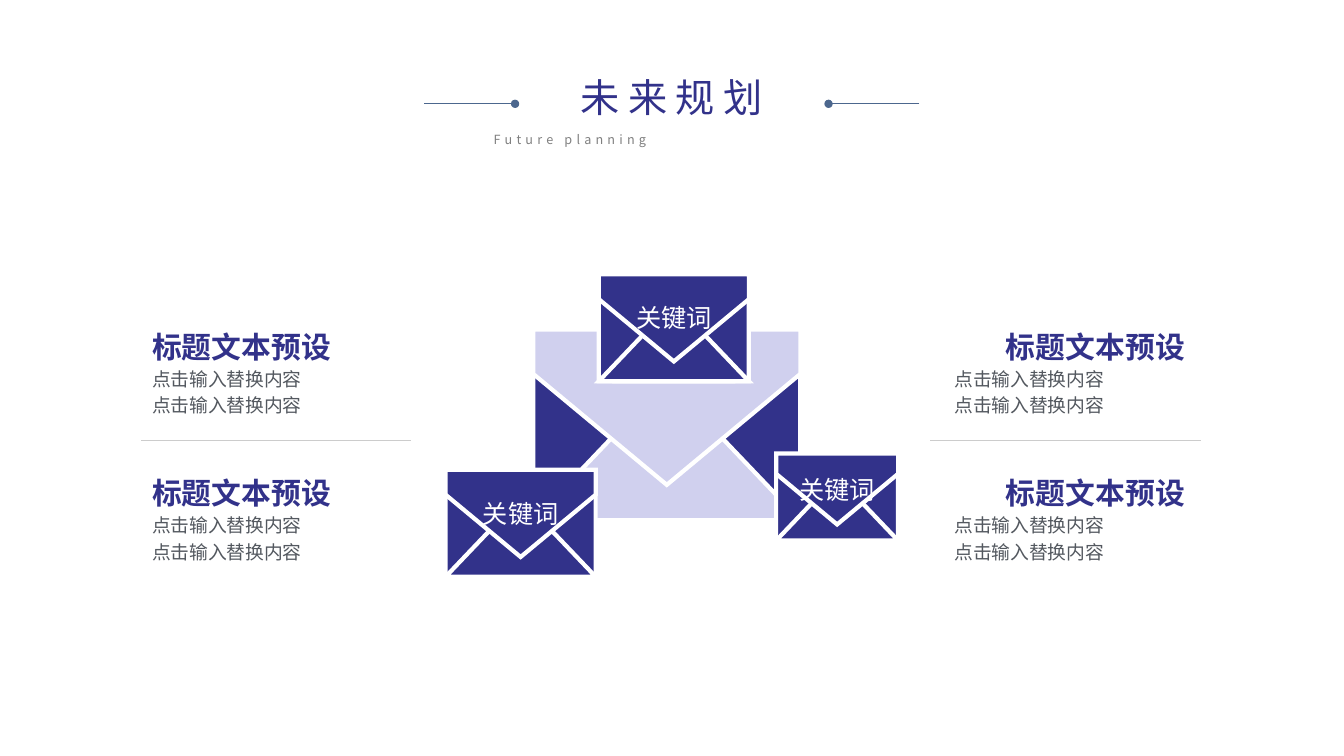
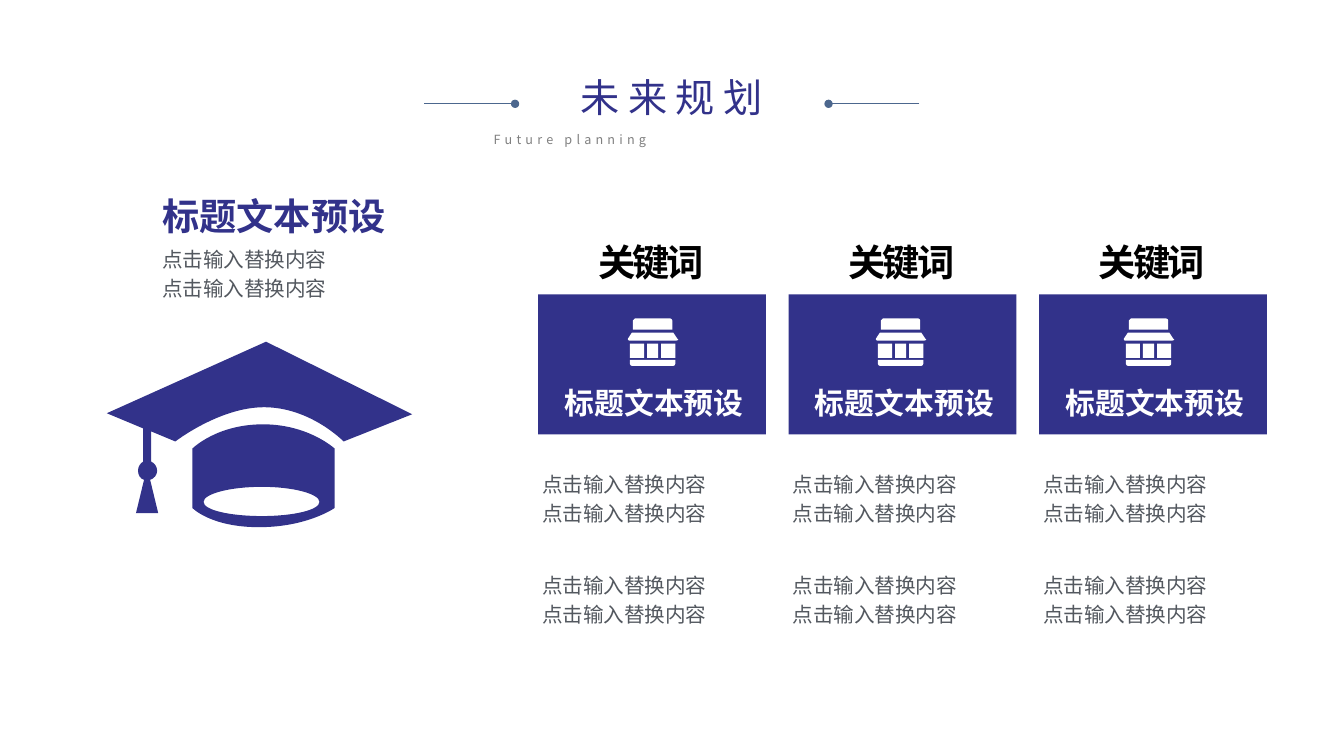
"""Build two planning slides: keyword envelopes and a graduation cap with three cards."""
from lxml import etree
from pptx import Presentation
from pptx.dml.color import RGBColor
from pptx.enum.shapes import MSO_CONNECTOR, MSO_SHAPE
from pptx.enum.text import MSO_ANCHOR, MSO_AUTO_SIZE, PP_ALIGN
from pptx.oxml.ns import qn
from pptx.util import Inches, Pt

LEFT, CENTER, RIGHT, JUSTIFY = PP_ALIGN.LEFT, PP_ALIGN.CENTER, PP_ALIGN.RIGHT, PP_ALIGN.JUSTIFY
TOP, MIDDLE = MSO_ANCHOR.TOP, MSO_ANCHOR.MIDDLE
GROW = MSO_AUTO_SIZE.SHAPE_TO_FIT_TEXT
RECT, TRIANGLE, RIGHT_TRIANGLE = MSO_SHAPE.RECTANGLE, MSO_SHAPE.ISOSCELES_TRIANGLE, MSO_SHAPE.RIGHT_TRIANGLE
STRAIGHT = MSO_CONNECTOR.STRAIGHT

WIDTH, HEIGHT = 40 / 3, 7.5
FONT = "Noto Sans CJK SC"
INDIGO, LILAC, STEEL = "32328A", "D0D0EE", "4C678E"
WHITE, BLACK, BODY_GREY, SUB_GREY, RULE_GREY = "FFFFFF", "000000", "53585F", "808080", "CCCCCC"
DEFAULT_INSETS, NO_INSETS, WIDE_INSETS = (0.1, 0.05), (0, 0), (0.13, 0.07)

HEADING, SUBHEADING = "未来规划", "Future planning"
TOPIC, KEYWORD = "标题文本预设", "关键词"
DETAILS = ["点击输入替换内容", "点击输入替换内容"]

ENVELOPES = [
    (5.29, 3.27, 2.65, LILAC, None),
    (4.42, 4.66, 1.49, INDIGO, KEYWORD),
    (7.7, 4.5, 1.21, INDIGO, KEYWORD),
    (5.94, 2.72, 1.49, INDIGO, KEYWORD),
]
FULL_WIDTH = 2.65
TOPIC_ROWS = [3.26, 4.71]
TOPIC_SIDES = [
    dict(topic_x=8.9, detail_x=9.47, detail_w=2.29, rule_x=9.23, align=RIGHT),
    dict(topic_x=1.51, detail_x=1.51, detail_w=2.86, rule_x=1.4, align=LEFT),
]
CARDS = [(TOPIC, KEYWORD, [DETAILS, DETAILS])] * 3
CARD_X, CARD_PITCH = 5.34, 4.97 / 2
STALL_X, STALL_PITCH = 6.23, 2.46

STALL = [
    [(0.02, 0.41), (0.47, 0.41), (0.47, 0.45), (0.47, 0.46, 0.46, 0.47, 0.45, 0.47),
     (0.04, 0.47), (0.03, 0.47, 0.02, 0.46, 0.02, 0.45)],
    *[[(a, 0.25), (b, 0.25), (b, 0.39), (a, 0.39)] for a, b in [(0.33, 0.47), (0.19, 0.3), (0.02, 0.16)]],
    [(0.04, 0.14), (0.45, 0.14), (0.49, 0.2), (0.49, 0.2, 0.5, 0.2, 0.5, 0.21),
     (0.5, 0.21, 0.49, 0.22, 0.48, 0.22), (0.01, 0.22), (0, 0.22, 0, 0.22, 0, 0.21), (0, 0.2)],
    [(0.07, 0), (0.42, 0), (0.43, 0, 0.44, 0.01, 0.44, 0.02), (0.44, 0.11),
     (0.05, 0.11), (0.05, 0.02), (0.05, 0.01, 0.06, 0, 0.07, 0)],
]
CAP = [
    [(3.41, 4.38), (3.41, 4.38, 3.08, 4.04, 2.62, 4.04), (2.18, 4.04, 1.74, 4.38, 1.74, 4.38),
     (1.5, 4.28), (1.5, 4.58), (1.53, 4.59, 1.56, 4.63, 1.56, 4.67),
     (1.56, 4.71, 1.53, 4.75, 1.49, 4.76), (1.57, 5.09), (1.35, 5.09), (1.43, 4.76),
     (1.39, 4.75, 1.37, 4.71, 1.37, 4.67), (1.37, 4.63, 1.39, 4.6, 1.42, 4.58),
     (1.42, 4.25), (1.06, 4.1), (2.64, 3.39), (4.09, 4.11)],
    [(2.61, 4.21), (3.06, 4.21, 3.32, 4.45, 3.32, 4.45), (3.32, 5.04),
     (3.32, 5.04, 3.05, 5.23, 2.57, 5.23), (2.09, 5.23, 1.91, 5.04, 1.91, 5.04),
     (1.91, 4.45), (1.91, 4.45, 2.15, 4.21, 2.61, 4.21)],
    [(2.6, 5.12), (2.91, 5.12, 3.17, 5.06, 3.17, 4.98), (3.17, 4.9, 2.91, 4.83, 2.6, 4.83),
     (2.28, 4.83, 2.02, 4.9, 2.02, 4.98), (2.02, 5.06, 2.28, 5.12, 2.6, 5.12)],
]


def color(value):
    return RGBColor.from_string(value)


def write(shape, lines, size, ink, bold=False, align=LEFT, anchor=TOP, insets=DEFAULT_INSETS,
          wrap=True, spacing=None, tracking=None, grow=False):
    frame = shape.text_frame
    frame.word_wrap = wrap
    frame.vertical_anchor = anchor
    frame.margin_left = frame.margin_right = Inches(insets[0])
    frame.margin_top = frame.margin_bottom = Inches(insets[1])
    if grow:
        frame.auto_size = GROW
    frame.text = "\n".join(lines)
    for paragraph in frame.paragraphs:
        paragraph.alignment = align
        if spacing:
            paragraph.line_spacing = spacing
        font = paragraph.font
        font.size, font.bold, font.name = Pt(size), bold, FONT
        font.color.rgb = color(ink)
        defaults = paragraph._p.pPr.find(qn("a:defRPr"))
        etree.SubElement(defaults, qn("a:ea"), typeface=FONT)
        if tracking:
            defaults.set("spc", str(tracking * 100))


def add_text(parent, box, lines, size, ink, **style):
    write(parent.shapes.add_textbox(*map(Inches, box)), lines, size, ink, **style)


def add_details(parent, box, lines, size, **style):
    add_text(parent, box, lines, size, BODY_GREY, spacing=1.2, **style)


def paint(shape, fill, outline=None):
    shape.shadow.inherit = False
    shape.fill.solid()
    shape.fill.fore_color.rgb = color(fill)
    if outline:
        shape.line.color.rgb = color(outline)
        shape.line.width = Pt(3)
        etree.SubElement(shape.line._get_or_add_ln(), qn("a:miter"), lim="800000")
    else:
        shape.line.fill.background()
    return shape


def add_preset(parent, preset, box, fill, outline=None):
    return paint(parent.shapes.add_shape(preset, *map(Inches, box)), fill, outline)


def add_rule(parent, start, end, y, ink, dot=False):
    rule = parent.shapes.add_connector(STRAIGHT, Inches(start), Inches(y), Inches(end), Inches(y))
    rule.line.color.rgb = color(ink)
    rule.line.width = Pt(0.5)
    if dot:
        etree.SubElement(rule.line._get_or_add_ln(), qn("a:tailEnd"), type="oval")
    etree.SubElement(rule._element.spPr, qn("a:effectLst"))


def bend(shape, segments, x, y):
    for line, segment in zip(list(shape._element.iter(qn("a:lnTo"))), segments):
        if len(segment) == 6:
            curve = etree.Element(qn("a:cubicBezTo"))
            for px, py in zip(segment[::2], segment[1::2]):
                etree.SubElement(curve, qn("a:pt"), x=str(Inches(x + px) - shape.left),
                                 y=str(Inches(y + py) - shape.top))
            line.getparent().replace(line, curve)


def add_outline(parent, contours, fill, x=0, y=0, outline=None):
    builder = None
    for contour in contours:
        first, *rest = [(Inches(x + point[-2]), Inches(y + point[-1])) for point in contour]
        if builder is None:
            builder = parent.shapes.build_freeform(*first)
        else:
            builder.move_to(*first)
        builder.add_line_segments(rest, close=True)
    shape = builder.convert_to_shape()
    bend(shape, [segment for contour in contours for segment in contour[1:]], x, y)
    return paint(shape, fill, outline)


def add_heading(slide):
    add_text(slide, (4.8, 1.26, 3.74, 0.25), [SUBHEADING], 9, SUB_GREY, align=JUSTIFY, tracking=3, grow=True)
    add_text(slide, (5.16, 0.68, 3.01, 0.57), [HEADING], 28, INDIGO, align=CENTER, tracking=6, grow=True)
    flanks = slide.shapes.add_group_shape()
    for outer, inner in [(4.21, 5.11), (9.12, 8.22)]:
        add_rule(flanks, outer, inner, 1.03, STEEL, dot=True)


def add_envelope(parent, x, y, w, fill, label):
    scale = w / FULL_WIDTH
    side_w, side_y, side_h = 2.29 * scale, y + 0.38 * scale, 1.51 * scale
    add_preset(parent, RIGHT_TRIANGLE, (x, side_y, side_w, side_h), INDIGO, WHITE)
    mirrored = add_preset(parent, RIGHT_TRIANGLE, (x + w - side_w, side_y, side_w, side_h), INDIGO, WHITE)
    mirrored._element.spPr.xfrm.set("flipH", "1")
    add_preset(parent, TRIANGLE, (x, y + 0.5 * scale, w, 1.39 * scale), fill, WHITE)
    fold, tip = 0.44 * scale, 1.54 * scale
    flap = add_outline(parent, [[(0, 0), (w, 0), (w, fold), (w / 2, tip), (0, fold)]], fill, x, y, WHITE)
    if label:
        write(flap, [label], 18, WHITE, align=CENTER, anchor=MIDDLE, insets=WIDE_INSETS, wrap=False)


def add_envelope_slide(slide):
    add_heading(slide)
    mail = slide.shapes.add_group_shape()
    for envelope in ENVELOPES:
        add_envelope(mail, *envelope)
    topics = slide.shapes.add_group_shape()
    for side in TOPIC_SIDES:
        for y in TOPIC_ROWS:
            add_details(topics, (side["detail_x"], y + 0.34, side["detail_w"], 0.56), DETAILS, 13.33,
                        insets=NO_INSETS)
            add_text(topics, (side["topic_x"], y, 2.86, 0.34), [TOPIC], 21.33, INDIGO, bold=True,
                     align=side["align"], insets=NO_INSETS, wrap=False)
        add_rule(topics, side["rule_x"], side["rule_x"] + 2.68, 4.37, RULE_GREY)


def add_card(slide, index, topic, keyword, blocks):
    card = slide.shapes.add_group_shape()
    x = CARD_X + index * CARD_PITCH
    add_preset(card, RECT, (x, 2.92, 2.26, 1.39), INDIGO)
    for row, lines in enumerate(blocks):
        add_details(card, (x - 0.06, 4.58 + row, 2.36, 0.69), lines, 14.67, anchor=MIDDLE, grow=True)
    add_text(card, (x, 2.37, 2.24, 0.45), [keyword], 26.67, BLACK, bold=True, align=CENTER,
             anchor=MIDDLE, insets=WIDE_INSETS, tracking=-2)
    add_text(card, (x + 0.06, 3.79, 2.18, 0.4), [topic], 21.33, WHITE, bold=True, align=CENTER, anchor=MIDDLE)
    add_outline(card, STALL, WHITE, STALL_X + index * STALL_PITCH, 3.16)


def add_card_slide(slide):
    add_heading(slide)
    intro = slide.shapes.add_group_shape()
    add_details(intro, (1.61, 2.4, 2.86, 0.87), DETAILS, 14.67, insets=NO_INSETS)
    add_text(intro, (1.61, 1.92, 2.86, 0.34), [TOPIC], 26.67, INDIGO, bold=True, insets=NO_INSETS)
    for index, card in enumerate(CARDS):
        add_card(slide, index, *card)
    add_outline(slide, CAP, INDIGO)


def main():
    deck = Presentation()
    deck.slide_width, deck.slide_height = Inches(WIDTH), Inches(HEIGHT)
    for fill_slide in (add_envelope_slide, add_card_slide):
        fill_slide(deck.slides.add_slide(deck.slide_layouts[6]))
    deck.save("out.pptx")


if __name__ == "__main__":
    main()
